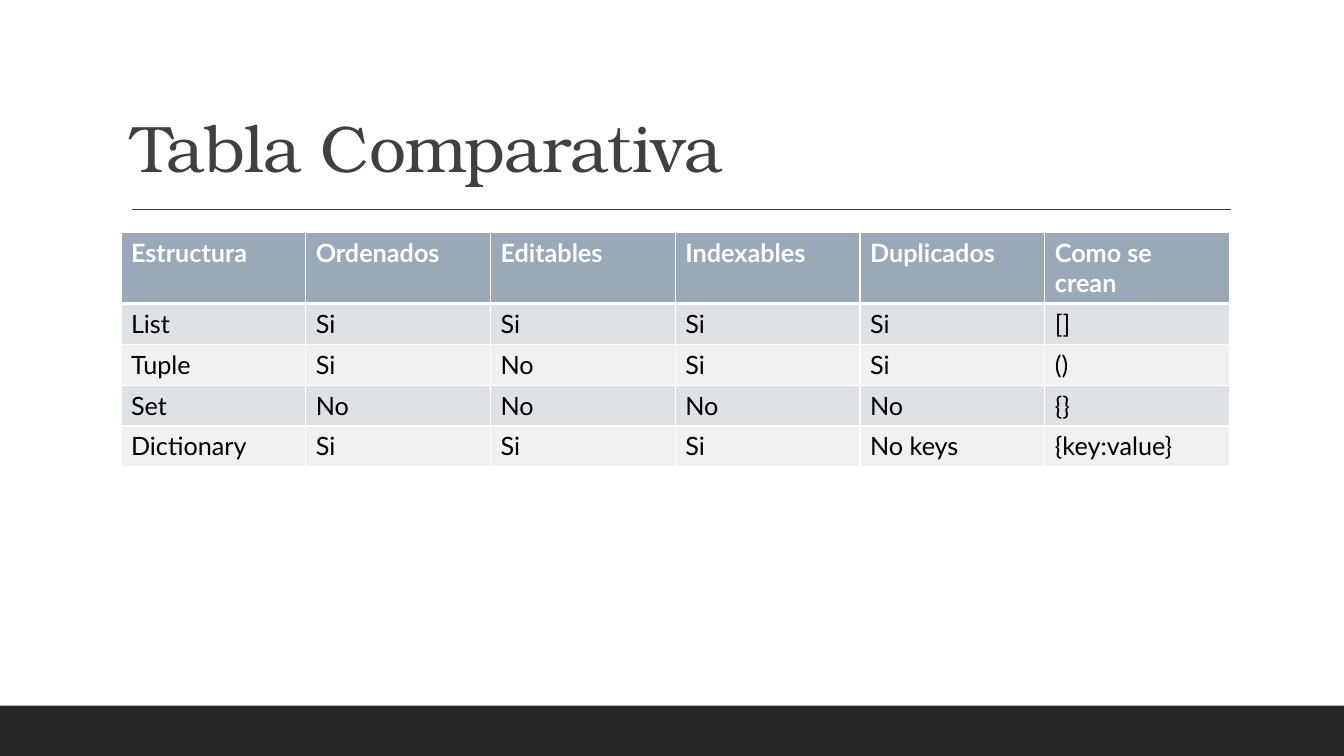
from dataclasses import dataclass

import pptx
import pptx.dml.color
import pptx.enum.shapes
import pptx.enum.text
import pptx.oxml.ns
import pptx.util
from lxml import etree

Pt = pptx.util.Pt
RGBColor = pptx.dml.color.RGBColor

WHITE = RGBColor(0xFF, 0xFF, 0xFF)
BLACK = RGBColor(0, 0, 0)
INK = RGBColor(0x40, 0x40, 0x40)
FOOTER = RGBColor(0x26, 0x26, 0x26)
HEADER = RGBColor(0x9B, 0xA8, 0xB7)
BAND_DARK = RGBColor(0xDE, 0xE1, 0xE6)
BAND_LIGHT = RGBColor(0xEF, 0xF1, 0xF3)

LEFT, WIDTH = 86.4, 792
TABLE_TOP, ROW_HEIGHT = 166.3, 29.2


@dataclass
class Row:
    texts: list[str]
    fill: RGBColor
    color: RGBColor = BLACK
    bold: bool = False
    top: float = 1
    bottom: float = 1


ROWS = [
    Row(["Estructura", "Ordenados", "Editables", "Indexables", "Duplicados", "Como se crean"],
        HEADER, WHITE, bold=True, bottom=3),
    Row(["List", "Si", "Si", "Si", "Si", "[]"], BAND_DARK, top=3),
    Row(["Tuple", "Si", "No", "Si", "Si", "()"], BAND_LIGHT),
    Row(["Set", "No", "No", "No", "No", "{}"], BAND_DARK),
    Row(["Dictionary", "Si", "Si", "Si", "No keys", "{key:value}"], BAND_LIGHT),
]


def add_text(tf, text: str, *, font: str, size: float, color: RGBColor,
             bold: bool = False, spacing: float = 0) -> None:
    p = tf.paragraphs[0]
    p.alignment = pptx.enum.text.PP_ALIGN.LEFT
    r = p.add_run()
    r.text = text
    r.font.name, r.font.size, r.font.bold = font, Pt(size), bold
    r.font.color.rgb = color
    if spacing:
        r._r.get_or_add_rPr().set("spc", str(round(spacing * 100)))


def add_borders(cell, row: Row) -> None:
    tc_pr = cell._tc.get_or_add_tcPr()
    qn = pptx.oxml.ns.qn
    for side, width in (("L", 1), ("R", 1), ("T", row.top), ("B", row.bottom)):
        ln = etree.SubElement(tc_pr, qn(f"a:ln{side}"), w=str(Pt(width)))
        fill = etree.SubElement(ln, qn("a:solidFill"))
        etree.SubElement(fill, qn("a:srgbClr"), val=str(WHITE))


def add_footer_and_rule(s) -> None:
    bar = s.shapes.add_shape(pptx.enum.shapes.MSO_SHAPE.RECTANGLE,
                             Pt(0), Pt(504), Pt(960), Pt(36))
    bar.shadow.inherit = False
    bar.fill.solid()
    bar.fill.fore_color.rgb = FOOTER
    bar.line.fill.background()

    rule = s.shapes.add_connector(pptx.enum.shapes.MSO_CONNECTOR.STRAIGHT,
                                  Pt(94.3), Pt(149.5), Pt(879), Pt(149.5))
    rule.line.color.rgb = INK
    rule.line.width = Pt(1)
    etree.SubElement(rule._element.spPr, pptx.oxml.ns.qn("a:effectLst"))


def add_title(s) -> None:
    title = s.shapes.title
    title.left, title.top, title.width, title.height = Pt(LEFT), Pt(22.5), Pt(WIDTH), Pt(114.3)
    tf = title.text_frame
    tf.word_wrap = True
    tf.auto_size = pptx.enum.text.MSO_AUTO_SIZE.NONE
    tf.vertical_anchor = pptx.enum.text.MSO_ANCHOR.BOTTOM
    add_text(tf, "Tabla Comparativa", font="TeX Gyre Bonum", size=47, color=INK, spacing=-0.5)
    tf.paragraphs[0].line_spacing = 0.9


def add_comparison(s, rows: list[Row]) -> None:
    table = s.shapes.add_table(len(rows), len(rows[0].texts), Pt(LEFT), Pt(TABLE_TOP),
                               Pt(WIDTH), Pt(ROW_HEIGHT * len(rows))).table
    table.horz_banding = False
    for i, row in enumerate(rows):
        table.rows[i].height = Pt(ROW_HEIGHT)
        for j, text in enumerate(row.texts):
            cell = table.cell(i, j)
            add_borders(cell, row)
            cell.fill.solid()
            cell.fill.fore_color.rgb = row.fill
            add_text(cell.text_frame, text, font="Lato", size=18, color=row.color, bold=row.bold)


def main() -> None:
    prs = pptx.Presentation()
    prs.slide_width, prs.slide_height = Pt(960), Pt(540)
    s = prs.slides.add_slide(prs.slide_layouts[5])
    s.background.fill.solid()
    s.background.fill.fore_color.rgb = WHITE

    add_footer_and_rule(s)
    add_title(s)
    add_comparison(s, ROWS)
    prs.save("out.pptx")


if __name__ == "__main__":
    main()
